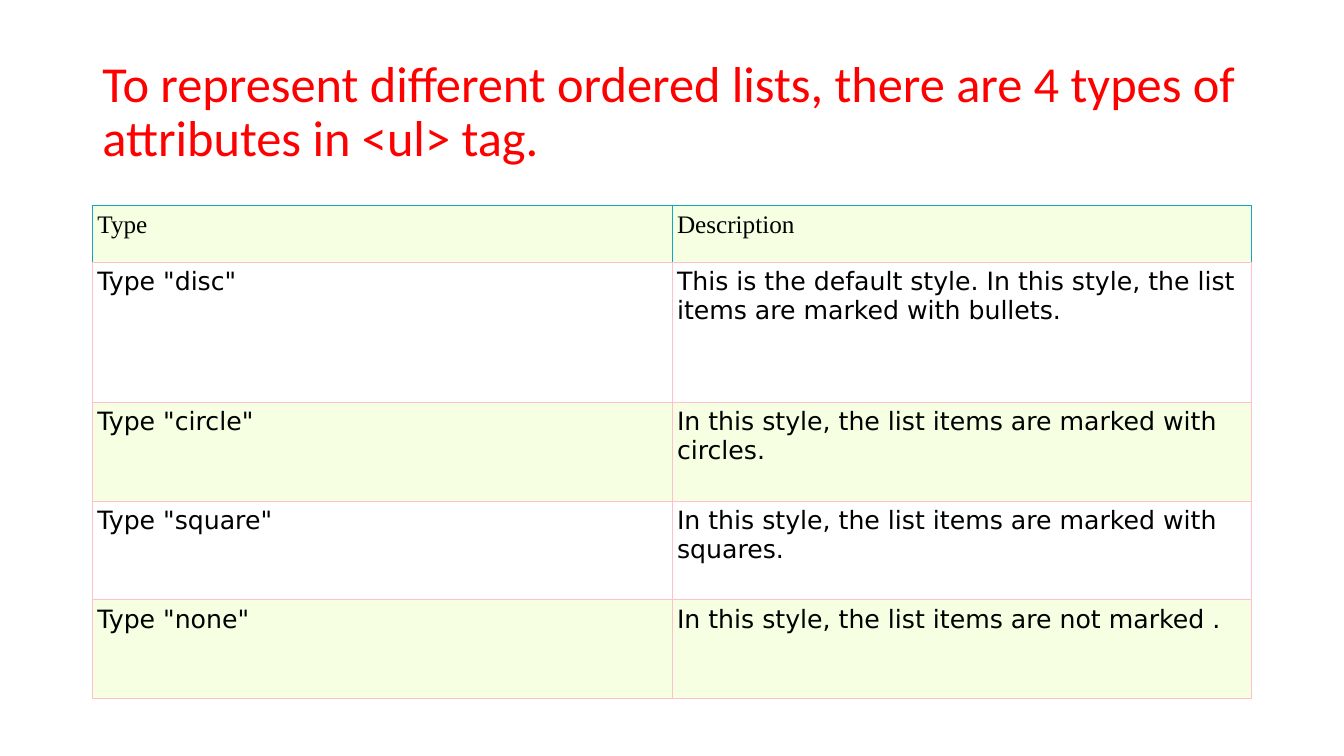
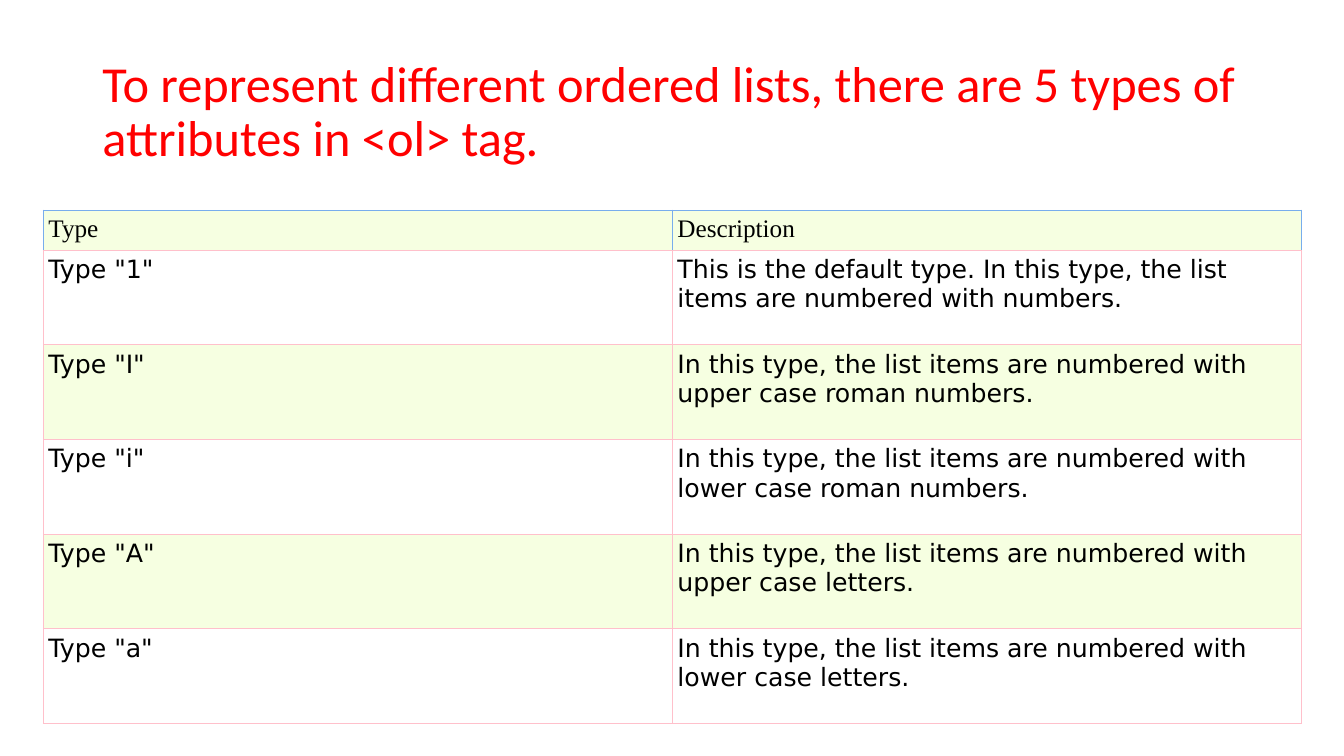
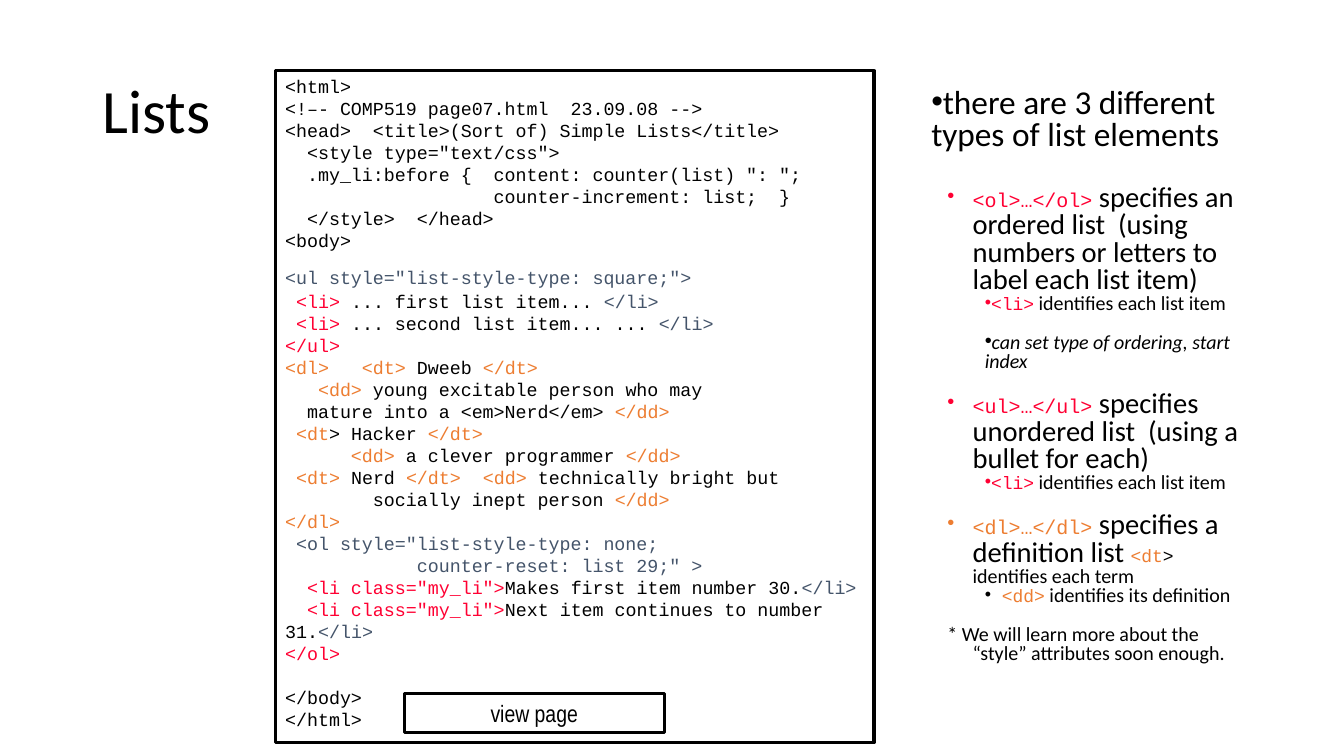
from dataclasses import dataclass
from typing import NamedTuple

from lxml import etree
from pptx import Presentation
from pptx.dml.color import RGBColor
from pptx.enum import shapes, text
from pptx.oxml import ns
from pptx.util import Pt

COLORS = {
    "black": "000000", "white": "FFFFFF", "title": "FF0000", "red": "FF0033",
    "orange": "ED7D31", "slate": "44546A", "band": "F6FFE1", "pink": "FFC0CB",
    "teal": "10A8BF", "blue": "78ADED",
}
TITLE_BOX = (66, 28.8, 828, 104.4)
MONO = "Courier New"
SANS = "Calibri"


class Run(NamedTuple):
    text: str
    color: str = "black"
    size: float = 13.1
    font: str = MONO
    italic: bool = False


class Line(NamedTuple):
    runs: list[Run]
    before: float = 0
    after: float = 0


class Item(NamedTuple):
    level: int
    runs: list[Run]
    before: float = 0
    bullet: bool = True


@dataclass
class TableSlide:
    title: str
    left: float
    top: float
    column_width: float
    row_heights: list[float]
    header_border: str
    rows: list[tuple[str, str]]


TABLE_SLIDES = [
    TableSlide(
        "To represent different ordered lists, there are 4 types of attributes in <ul> tag.",
        66, 147, 414, [40.2, 100.2] + [70.5] * 3, "teal",
        [
            ('Type "disc"', "This is the default style. In this style, the list items are marked with bullets."),
            ('Type "circle"', "In this style, the list items are marked with circles."),
            ('Type "square"', "In this style, the list items are marked with squares."),
            ('Type "none"', "In this style, the list items are not marked ."),
        ],
    ),
    TableSlide(
        "To represent different ordered lists, there are 5 types of attributes in <ol> tag.",
        31, 150, 449.3, [28.8] + [67.6] * 5, "blue",
        [
            ('Type "1"', "This is the default type. In this type, the list items are numbered with numbers."),
            ('Type "I"', "In this type, the list items are numbered with upper case roman numbers."),
            ('Type "i"', "In this type, the list items are numbered with lower case roman numbers."),
            ('Type "A"', "In this type, the list items are numbered with upper case letters."),
            ('Type "a"', "In this type, the list items are numbered with lower case letters."),
        ],
    ),
]


def red(content: str) -> Run:
    return Run(content, "red")


def orange(content: str) -> Run:
    return Run(content, "orange")


def slate(content: str) -> Run:
    return Run(content, "slate")


def tag(content: str, color: str = "red", size: float = 12.8) -> Run:
    return Run(content, color, size)


def prose(content: str, size: float = 14.3, italic: bool = False) -> Run:
    return Run(content, "black", size, SANS, italic)


CODE_LINES = [
    Line([Run("<html>")]),
    Line([Run("<!–- COMP519 page07.html  23.09.08 -->")]),
    Line([Run("<head>  <title>(Sort of) Simple Lists</title>")]),
    Line([Run('  <style type="text/css">')]),
    Line([Run('  .my_li:before {  content: counter(list) ": ";')]),
    Line([Run("                   counter-increment: list;  }")]),
    Line([Run("  </style>  </head>")]),
    Line([Run("<body>")]),
    Line([slate('<ul style="list-style-type: square;">')], before=10.5, after=1.5),
    Line([red(" <li>"), Run(" ... first list item... "), slate("</li>")]),
    Line([red(" <li>"), Run(" ... second list item... ... "), slate("</li>")]),
    Line([red("</ul>")]),
    Line([orange("<dl>   <dt>"), Run(" Dweeb "), orange("</dt>")]),
    Line([orange("   <dd>"), Run(" young excitable person who may")]),
    Line([Run("  mature into a <em>Nerd</em> "), orange("</dd>")]),
    Line([orange(" <dt"), Run("> Hacker "), orange("</dt>")]),
    Line([orange("      <dd>"), Run(" a clever programmer "), orange("</dd>")]),
    Line([orange(" <dt>"), Run(" Nerd "), orange("</dt>  <dd>"), Run(" technically bright but")]),
    Line([Run("        socially inept person "), orange("</dd>")]),
    Line([orange("</dl>")]),
    Line([slate(' <ol style="list-style-type: none;')]),
    Line([slate('            counter-reset: list 29;" >')]),
    Line([red('  <li class="my_li">'), Run("Makes first item number 30."), slate("</li>")]),
    Line([red('  <li class="my_li">'), Run("Next item continues to number 31."), slate("</li>")]),
    Line([red("</ol>")]),
    Line([Run("</body>")], before=15.7),
    Line([Run("</html>")]),
]

LIST_ITEM = [tag("<li>"), prose(" identifies each list item")]
ITEMS = [
    Item(0, [prose("there are 3 different types of list elements", 23.8)]),
    Item(1, [tag("<ol>…</ol>", size=14.3),
             prose(" specifies an ordered list  (using numbers or letters to label each list item)", 20.4)], 23.2),
    Item(2, LIST_ITEM),
    Item(2, [prose("can set type of ordering, start index", italic=True)], 14),
    Item(1, [tag("<ul>…</ul>", size=14.3),
             prose(" specifies unordered list  (using a bullet for each)", 20.4)], 14),
    Item(2, LIST_ITEM),
    Item(1, [tag("<dl>…</dl>", "orange", 14.3), prose(" specifies a definition list ", 20.4),
             tag("<dt", "orange"), tag(">", "black"), prose(" identifies each term")], 14),
    Item(2, [tag(" ", "black"), tag("<dd>", "orange"), prose(" identifies its definition")]),
    Item(1, [prose("* We will learn more about the “style” attributes soon enough.")], 14, False),
]
LEVEL_INDENTS = [(0, 0), (29.5, -18), (38.2, 0)]


def rgb(name: str) -> RGBColor:
    return RGBColor.from_string(COLORS[name])


def place(shape, left: float, top: float, width: float, height: float) -> None:
    shape.left, shape.top = Pt(left), Pt(top)
    shape.width, shape.height = Pt(width), Pt(height)


def format_run(run, style: Run) -> None:
    run.font.name = style.font
    run.font.size = Pt(style.size)
    run.font.italic = style.italic
    run.font.color.rgb = rgb(style.color)


def fill_paragraph(paragraph, runs: list[Run]) -> None:
    for style in runs:
        run = paragraph.add_run()
        run.text = style.text
        format_run(run, style)


def next_paragraph(text_frame, index: int):
    return text_frame.add_paragraph() if index else text_frame.paragraphs[0]


def set_title(slide, content: str, size: float, color: str) -> None:
    title = slide.shapes.title
    place(title, *TITLE_BOX)
    frame = title.text_frame
    frame.text = content
    frame.word_wrap = True
    frame.auto_size = text.MSO_AUTO_SIZE.NONE
    frame.vertical_anchor = text.MSO_ANCHOR.MIDDLE
    paragraph = frame.paragraphs[0]
    paragraph.alignment = text.PP_ALIGN.LEFT
    paragraph.line_spacing = 0.9
    format_run(paragraph.runs[0], Run(content, color, size, SANS))


def set_border(cell, side: str, color: str) -> None:
    properties = cell._tc.get_or_add_tcPr()
    line = etree.SubElement(properties, ns.qn(f"a:ln{side}"), w=str(Pt(0.75)))
    fill = etree.SubElement(line, ns.qn("a:solidFill"))
    etree.SubElement(fill, ns.qn("a:srgbClr"), val=COLORS[color])


def format_cell(cell, content: str, row: int, header_border: str) -> None:
    cell.text = content
    cell.margin_left = cell.margin_right = cell.margin_top = cell.margin_bottom = Pt(3.6)
    font = "DejaVu Sans" if row else "Times New Roman"
    format_run(cell.text_frame.paragraphs[0].runs[0], Run(content, size=18, font=font))
    for side in "LRTB":
        set_border(cell, side, "pink" if row or side == "B" else header_border)
    cell.fill.solid()
    cell.fill.fore_color.rgb = rgb("white" if row % 2 else "band")


def add_table_slide(presentation, data: TableSlide) -> None:
    slide = presentation.slides.add_slide(presentation.slide_layouts[5])
    set_title(slide, data.title, 36, "title")
    rows = [("Type", "Description")] + data.rows
    table = slide.shapes.add_table(
        len(rows), 2, Pt(data.left), Pt(data.top),
        Pt(2 * data.column_width), Pt(sum(data.row_heights))).table
    table.first_row = table.horz_banding = False
    for column in table.columns:
        column.width = Pt(data.column_width)
    for row, (contents, height) in enumerate(zip(rows, data.row_heights)):
        table.rows[row].height = Pt(height)
        for column, content in enumerate(contents):
            format_cell(table.cell(row, column), content, row, data.header_border)


def set_bullet(paragraph, item: Item) -> None:
    properties = paragraph._p.get_or_add_pPr()
    margin, indent = LEVEL_INDENTS[item.level]
    properties.set("marL", str(Pt(margin)))
    properties.set("indent", str(Pt(indent)))
    if item.bullet:
        etree.SubElement(properties, ns.qn("a:buFont"), typeface="Arial")
        etree.SubElement(properties, ns.qn("a:buChar"), char="•")
    else:
        etree.SubElement(properties, ns.qn("a:buNone"))


def fill_body(body) -> None:
    place(body, 658, 50.4, 236, 433.4)
    frame = body.text_frame
    frame.word_wrap = True
    frame.auto_size = text.MSO_AUTO_SIZE.NONE
    frame.vertical_anchor = text.MSO_ANCHOR.TOP
    frame.margin_top = Pt(13)
    for index, item in enumerate(ITEMS):
        paragraph = next_paragraph(frame, index)
        paragraph.level = item.level
        paragraph.alignment = text.PP_ALIGN.LEFT
        paragraph.line_spacing = 0.8
        paragraph.space_before = Pt(item.before)
        paragraph.space_after = Pt(0)
        set_bullet(paragraph, item)
        fill_paragraph(paragraph, item.runs)


def add_frame(slide, left: float, top: float, width: float, height: float, anchor):
    shape = slide.shapes.add_shape(
        shapes.MSO_SHAPE.RECTANGLE, Pt(left), Pt(top), Pt(width), Pt(height))
    shape.shadow.inherit = False
    shape.fill.background()
    shape.line.color.rgb = rgb("black")
    shape.line.width = Pt(2.25)
    shape.text_frame.word_wrap = True
    shape.text_frame.vertical_anchor = anchor
    return shape.text_frame


def add_lists_slide(presentation) -> None:
    slide = presentation.slides.add_slide(presentation.slide_layouts[1])
    set_title(slide, "Lists", 44, "black")
    fill_body(slide.placeholders[1])
    code = add_frame(slide, 196.6, 50.4, 427.7, 480.2, text.MSO_ANCHOR.TOP)
    for index, line in enumerate(CODE_LINES):
        paragraph = next_paragraph(code, index)
        paragraph.alignment = text.PP_ALIGN.LEFT
        paragraph.line_spacing = Pt(15.7)
        paragraph.space_before = Pt(line.before)
        paragraph.space_after = Pt(line.after)
        fill_paragraph(paragraph, line.runs)
    button = add_frame(slide, 288.7, 495.4, 185.8, 28, text.MSO_ANCHOR.MIDDLE)
    button.paragraphs[0].alignment = text.PP_ALIGN.CENTER
    fill_paragraph(button.paragraphs[0], [Run("view page", size=16.9, font="Arial Narrow")])


def main() -> None:
    presentation = Presentation()
    presentation.slide_width, presentation.slide_height = Pt(960), Pt(540)
    for data in TABLE_SLIDES:
        add_table_slide(presentation, data)
    add_lists_slide(presentation)
    presentation.save("out.pptx")


if __name__ == "__main__":
    main()
